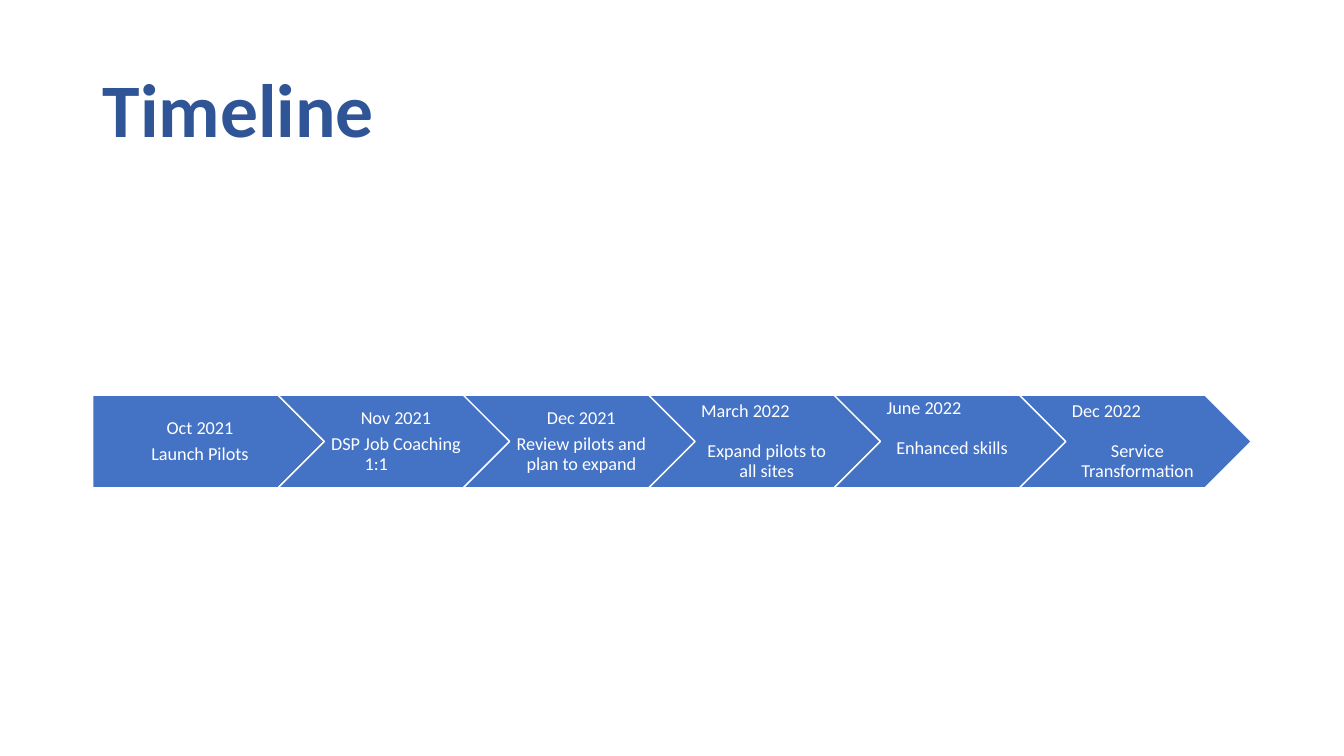
from dataclasses import dataclass
from pptx import Presentation
from pptx.dml.color import RGBColor as RGB
from pptx.enum.shapes import MSO_SHAPE as SHAPE
from pptx.enum.text import MSO_ANCHOR as ANCHOR, MSO_AUTO_SIZE as AUTO, PP_ALIGN as ALIGN
from pptx.util import Inches, Pt


@dataclass
class Theme:
    font: str = "Calibri"
    title: RGB = RGB(0x2F, 0x55, 0x97)
    step: RGB = RGB(0x44, 0x72, 0xC4)
    white: RGB = RGB(0xFF, 0xFF, 0xFF)
    title_size: Pt = Pt(54)
    step_size: Pt = Pt(13)
    gap: Pt = Pt(4.5)
    wide_gap: Pt = Pt(14.3)


def style(p, size, color, bold=False):
    p.line_spacing = 0.9
    for r in p.runs:
        r.font.name = theme.font
        r.font.size = size
        r.font.bold = bold
        r.font.color.rgb = color


theme = Theme()
prs = Presentation()
prs.slide_width, prs.slide_height = Inches(13.33), Inches(7.5)
col = prs.slide_width / 29
s = prs.slides.add_slide(prs.slide_layouts[5])

title = s.shapes.title
title.left, title.top = int(2 * col), Inches(0.4)
title.width, title.height = int(25 * col), Inches(1.45)
tf = title.text_frame
tf.text = "Timeline"
tf.auto_size = AUTO.NONE
tf.vertical_anchor = ANCHOR.MIDDLE
tf.paragraphs[0].alignment = ALIGN.LEFT
style(tf.paragraphs[0], theme.title_size, theme.title, True)

C, L = ALIGN.CENTER, ALIGN.LEFT
steps = [
    [("Oct 2021", C, theme.gap), ("Launch Pilots", C, 0)],
    [("Nov 2021", C, theme.gap), ("DSP Job Coaching", C, 0), ("1:1", L, 0)],
    [("Dec 2021", C, theme.gap), ("Review pilots and plan to expand", C, 0)],
    [("March 2022", L, theme.wide_gap), ("Expand pilots to all sites", C, 0)],
    [("June 2022", L, theme.wide_gap), ("Enhanced skills", C, 0)],
    [("Dec 2022", L, theme.wide_gap), ("Service Transformation", C, 0)],
]

for i, lines in enumerate(steps):
    kind = SHAPE.CHEVRON if i else SHAPE.PENTAGON
    sp = s.shapes.add_shape(kind, int((2 + 4 * i) * col), Inches(3.92), int(5 * col), int(2 * col))
    sp.shadow.inherit = False
    sp.fill.solid()
    sp.fill.fore_color.rgb = theme.step
    sp.line.color.rgb = theme.white
    sp.line.width = Pt(1)
    tf = sp.text_frame
    tf.word_wrap = True
    tf.vertical_anchor = ANCHOR.MIDDLE
    tf.margin_left = Inches(0.06 if i else 0.08)
    tf.margin_right = Inches(0.02)
    tf.margin_top = Inches(0.04)
    tf.margin_bottom = Inches(0.3 if lines[0][0] == "June 2022" else 0.04)
    for n, (text, align, after) in enumerate(lines):
        p = tf.add_paragraph() if n else tf.paragraphs[0]
        p.text = text
        p.alignment = align
        p.space_after = after
        if text == "1:1":
            p._p.get_or_add_pPr().set("marL", str(Inches(0.34)))
        style(p, theme.step_size, theme.white)

prs.save("out.pptx")
